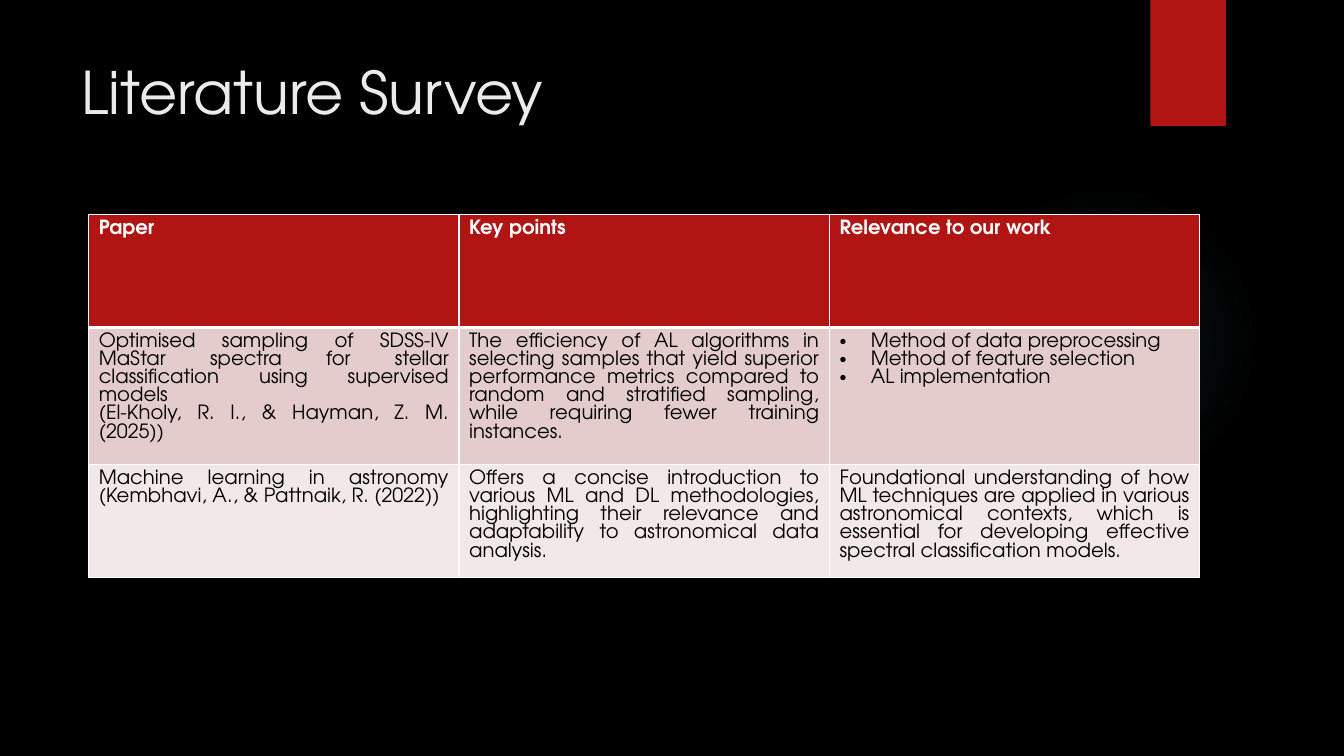
"""Build the Literature Survey slide with its table of papers."""
from lxml import etree
from pptx import Presentation
from pptx import util as u
from pptx.dml.color import RGBColor
from pptx.enum import shapes, text
from pptx.oxml import parse_xml
from pptx.oxml.ns import nsdecls, qn

FONT = "TeX Gyre Adventor"


def paint(fill, color):
    fill.solid()
    fill.fore_color.rgb = RGBColor.from_string(color)


def add_border(cell, side, points):
    cell._tc.get_or_add_tcPr().append(parse_xml(
        f'<a:{side} {nsdecls("a")} w="{u.Pt(points)}"><a:solidFill>'
        f'<a:srgbClr val="FFFFFF"/></a:solidFill></a:{side}>'))


deck = Presentation()
deck.slide_width, deck.slide_height = u.Inches(13.33), u.Inches(7.5)
survey = deck.slides.add_slide(deck.slide_layouts[5])
paint(survey.background.fill, "000000")

glow = survey.shapes.add_shape(shapes.MSO_SHAPE.OVAL, u.Inches(9.41), u.Inches(1.83),
                               u.Inches(3.08), u.Inches(3.08))
stops = "".join(
    f'<a:gs pos="{position}000"><a:srgbClr val="50B9C1"><a:alpha val="{alpha}000"/></a:srgbClr></a:gs>'
    for position, alpha in [(0, 7), (36, 6), (69, 0), (100, 0)])
glow._element.spPr.find(qn("a:prstGeom")).addnext(parse_xml(
    f'<a:gradFill {nsdecls("a")}><a:gsLst>{stops}</a:gsLst><a:path path="circle">'
    '<a:fillToRect l="50000" t="50000" r="50000" b="50000"/></a:path></a:gradFill>'))

ribbon = survey.shapes.add_shape(shapes.MSO_SHAPE.RECTANGLE, u.Inches(11.41), 0,
                                 u.Inches(0.75), u.Inches(1.25))
paint(ribbon.fill, "B01513")
for decoration in (glow, ribbon):
    decoration.line.fill.background()
    decoration.shadow.inherit = False

heading = survey.shapes.title
heading.left, heading.top = u.Inches(0.71), u.Inches(0.5)
heading.width, heading.height = u.Inches(10.29), u.Inches(1.53)
heading.text_frame.text = "Literature Survey"
heading.text_frame.vertical_anchor = text.MSO_ANCHOR.TOP
heading_line = heading.text_frame.paragraphs[0]
heading_line.alignment = text.PP_ALIGN.LEFT
heading_line.font.name, heading_line.font.size = FONT, u.Pt(42)
paint(heading_line.font.fill, "EBEBEB")

papers = [
    ("Paper", "Key points", "Relevance to our work"),
    ("Optimised sampling of SDSS-IV MaStar spectra for stellar classification using supervised models\n"
     "(El-Kholy, R. I., & Hayman, Z. M. (2025))",
     "The efficiency of AL algorithms in selecting samples that yield superior performance metrics "
     "compared to random and stratified sampling, while requiring fewer training instances.",
     "Method of data preprocessing\nMethod of feature selection\nAL implementation"),
    ("Machine learning in astronomy (Kembhavi, A., & Pattnaik, R. (2022))",
     "Offers a concise introduction to various ML and DL methodologies, highlighting their relevance "
     "and adaptability to astronomical data analysis.",
     "Foundational understanding of how ML techniques are applied in various astronomical contexts, "
     "which is essential for developing effective spectral classification models."),
]
row_styles = [(1.12, "B01513", "FFFFFF"), (1.36, "E4CCCC", "000000"), (1.12, "F2E8E7", "000000")]

literature = survey.shapes.add_table(3, 3, u.Inches(0.88), u.Inches(2.13),
                                     u.Inches(11.02), u.Inches(3.6)).table
for r, (entries, (height, band, ink)) in enumerate(zip(papers, row_styles)):
    literature.rows[r].height = u.Inches(height)
    for c, entry in enumerate(entries):
        cell = literature.cell(r, c)
        cell.text = entry
        cell.margin_top = cell.margin_bottom = u.Inches(0.05)
        for side in ("lnL", "lnR", "lnT", "lnB"):
            header_rule = (r, side) in [(0, "lnB"), (1, "lnT")]
            add_border(cell, side, 3 if header_rule else 1)
        paint(cell.fill, band)
        for line in cell.text_frame.paragraphs:
            line.alignment = text.PP_ALIGN.JUSTIFY
            line.line_spacing = u.Pt(13)
            line.font.name, line.font.size, line.font.bold = FONT, u.Pt(14), r == 0
            paint(line.font.fill, ink)

for benefit in literature.cell(1, 2).text_frame.paragraphs:
    layout = benefit._p.get_or_add_pPr()
    layout.set("marL", str(u.Inches(0.31)))
    layout.set("indent", str(u.Inches(-0.31)))
    bullet_font = etree.Element(qn("a:buFont"), typeface="Arial")
    bullet = etree.Element(qn("a:buChar"), char="•")
    layout.find(qn("a:lnSpc")).addnext(bullet_font)
    bullet_font.addnext(bullet)

deck.save("out.pptx")
